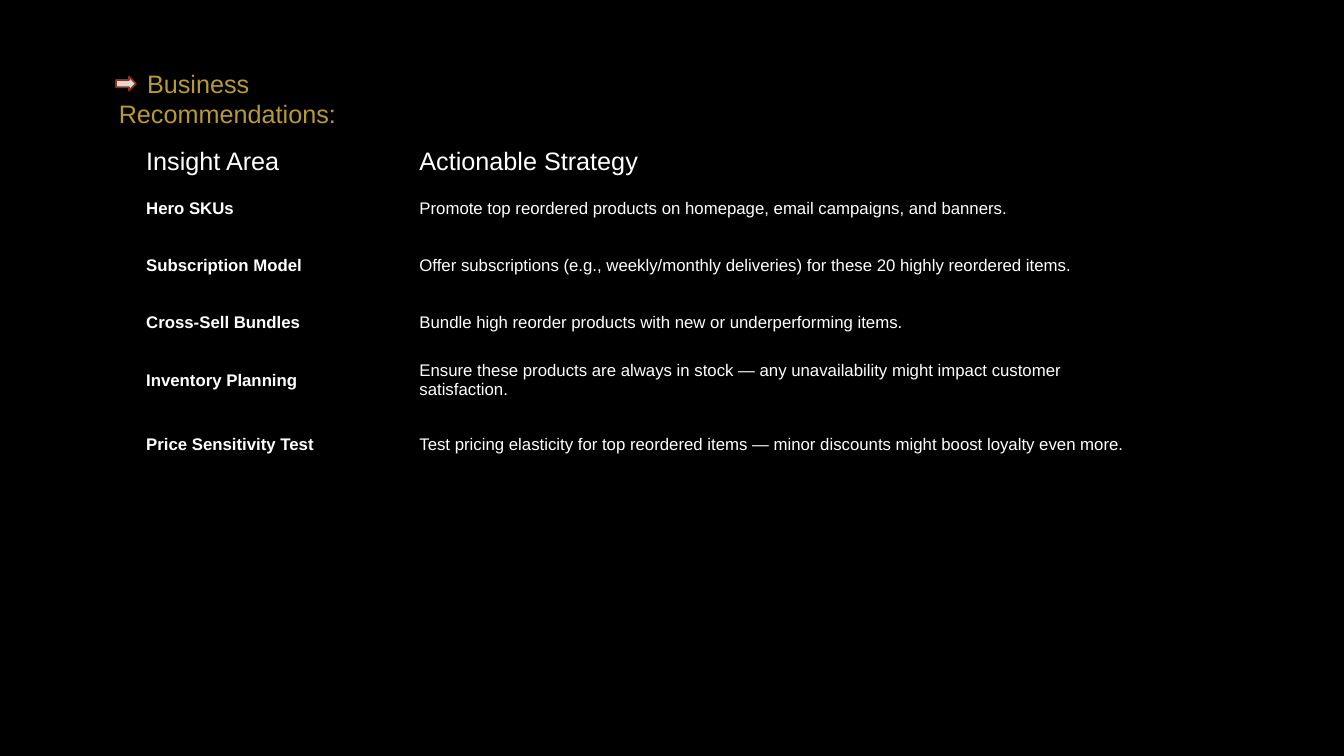
from pptx import Presentation
from pptx.dml.color import RGBColor
from pptx.enum.shapes import MSO_SHAPE
from pptx.enum.text import MSO_ANCHOR
from pptx.util import Inches, Pt

RIGHT_ARROW = MSO_SHAPE.RIGHT_ARROW
MIDDLE = MSO_ANCHOR.MIDDLE

BLACK, WHITE, GOLD = "000000", "FFFFFF", "B79935"
ARROW_GREY, ARROW_RUST = "DADADA", "8B3314"
NO_STYLE_NO_GRID = "{2D5ABB26-0587-4C30-8999-92F81FD0307C}"

HEADING = {"name": "Arial", "size": Pt(18), "bold": False}
AREA = {"name": "Arial", "size": Pt(12), "bold": True}
STRATEGY = {"name": "Arial", "size": Pt(12), "bold": False}

COLUMN_WIDTHS = [2.71, 7.44]
ROW_HEIGHTS = [0.4, 0.54, 0.58, 0.57, 0.57, 0.7]
RECOMMENDATIONS = [
    ("Insight Area", "Actionable Strategy"),
    ("Hero SKUs",
     "Promote top reordered products on homepage, email campaigns, and banners."),
    ("Subscription Model",
     "Offer subscriptions (e.g., weekly/monthly deliveries) for these 20 highly reordered items."),
    ("Cross-Sell Bundles",
     "Bundle high reorder products with new or underperforming items."),
    ("Inventory Planning",
     "Ensure these products are always in stock — any unavailability might impact customer satisfaction."),
    ("Price Sensitivity Test",
     "Test pricing elasticity for top reordered items — minor discounts might boost loyalty even more."),
]


def color(hex_value):
    return RGBColor.from_string(hex_value)


def write(paragraph, text, font_format, hex_value):
    run = paragraph.add_run()
    run.text = text
    for attribute, value in font_format.items():
        setattr(run.font, attribute, value)
    run.font.color.rgb = color(hex_value)


def add_title(slide, text, left, top, width, height):
    """Add a title whose first line is indented to leave room for the arrow."""
    box = slide.shapes.add_textbox(*map(Inches, (left, top, width, height)))
    box.text_frame.word_wrap = True
    paragraph = box.text_frame.paragraphs[0]
    paragraph._p.get_or_add_pPr().set("indent", str(Inches(0.28)))
    write(paragraph, text, HEADING, GOLD)


def add_arrow(slide, left, top, width, height):
    arrow = slide.shapes.add_shape(RIGHT_ARROW, *map(Inches, (left, top, width, height)))
    arrow.shadow.inherit = False
    arrow.fill.solid()
    arrow.fill.fore_color.rgb = color(ARROW_GREY)
    arrow.line.color.rgb = color(ARROW_RUST)
    arrow.line.width = Pt(1.25)


def add_recommendations(slide, left, top):
    frame = slide.shapes.add_table(
        len(ROW_HEIGHTS), len(COLUMN_WIDTHS), Inches(left), Inches(top),
        Inches(sum(COLUMN_WIDTHS)), Inches(sum(ROW_HEIGHTS)))
    table = frame.table
    table.first_row = table.horz_banding = False
    table._tbl.tblPr[0].text = NO_STYLE_NO_GRID
    for column, width in zip(table.columns, COLUMN_WIDTHS):
        column.width = Inches(width)
    for index, (row, height) in enumerate(zip(table.rows, ROW_HEIGHTS)):
        row.height = Inches(height)
        formats = (AREA, STRATEGY) if index else (HEADING, HEADING)
        for cell, text, font_format in zip(row.cells, RECOMMENDATIONS[index], formats):
            cell.fill.background()
            cell.vertical_anchor = MIDDLE
            write(cell.text_frame.paragraphs[0], text, font_format, WHITE)


def main():
    presentation = Presentation()
    presentation.slide_width = Inches(13.33)
    presentation.slide_height = Inches(7.5)
    slide = presentation.slides.add_slide(presentation.slide_layouts[6])
    slide.background.fill.solid()
    slide.background.fill.fore_color.rgb = color(BLACK)

    add_title(slide, "Business Recommendations:", 1.08, 0.63, 3.51, 0.4)
    add_arrow(slide, 1.15, 0.76, 0.2, 0.14)
    add_recommendations(slide, 1.35, 1.4)
    presentation.save("out.pptx")


if __name__ == "__main__":
    main()
